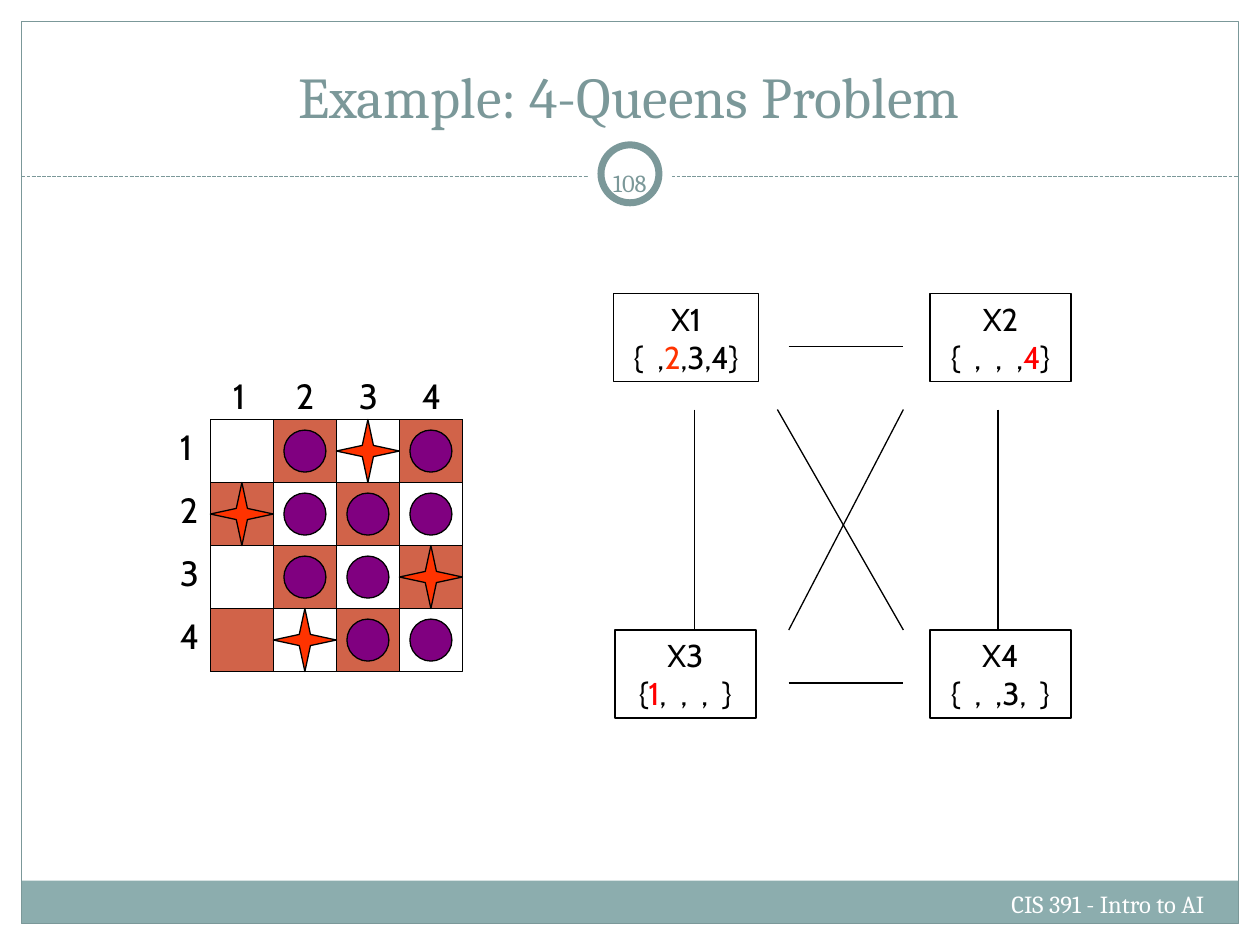
from lxml import etree
from pptx import Presentation
from pptx.dml.color import RGBColor
from pptx.enum.dml import MSO_LINE
from pptx.enum.shapes import MSO_CONNECTOR, MSO_SHAPE
from pptx.enum.text import MSO_ANCHOR, PP_ALIGN
from pptx.oxml.ns import qn
from pptx.util import Inches, Pt

RECT, OVAL, STAR = MSO_SHAPE.RECTANGLE, MSO_SHAPE.OVAL, MSO_SHAPE.STAR_4_POINT
STRAIGHT, DASH = MSO_CONNECTOR.STRAIGHT, MSO_LINE.SQUARE_DOT
LEFT, CENTER, RIGHT = PP_ALIGN.LEFT, PP_ALIGN.CENTER, PP_ALIGN.RIGHT
TOP, MIDDLE, BOTTOM = MSO_ANCHOR.TOP, MSO_ANCHOR.MIDDLE, MSO_ANCHOR.BOTTOM

COLORS = {
    "theme": "7B9899", "band": "8CADAE", "white": "FFFFFF", "black": "000000",
    "square": "D16349", "queen": "FF3300", "removed": "800080", "red": "FF0000",
}
HEADING, BODY = "Cambria", "Cabin"

# Q: queen, x: square ruled out, -: open square
BOARD = ["-xQx", "Qxxx", "-xxQ", "-Qxx"]

# Left, top, width, name and domain runs of each variable
VARIABLES = [
    (0, 0, 1.15, "X1", [("{  ,", "black"), ("2", "queen"), (",3,4}", "black")]),
    (2.51, 0, 1.12, "X2", [("{  ,  ,  ,", "black"), ("4", "red"), ("}", "black")]),
    (0.01, 2.67, 1.12, "X3", [("{", "black"), ("1", "red"), (",  ,  ,  }", "black")]),
    (2.51, 2.67, 1.12, "X4", [("{  ,  ,3,  }", "black")]),
]
# Start and end of each constraint between two variables
CONSTRAINTS = [
    (1.39, 0.42, 2.3, 0.42), (1.39, 3.09, 2.3, 3.09),
    (0.64, 0.92, 0.64, 2.67), (3.05, 0.92, 3.05, 2.67),
    (1.3, 0.92, 2.3, 2.67), (2.3, 0.92, 1.39, 2.67),
]


def rgb(name):
    return RGBColor.from_string(COLORS[name])


def add_figure(slide, kind, left, top, width, height, fill=None, line=None, weight=0.75):
    figure = slide.shapes.add_shape(
        kind, Inches(left), Inches(top), Inches(width), Inches(height))
    figure.shadow.inherit = False
    for part, color in ((figure.fill, fill), (figure.line.fill, line)):
        if color:
            part.solid()
            part.fore_color.rgb = rgb(color)
        else:
            part.background()
    if line:
        figure.line.width = Pt(weight)
    return figure


def add_line(slide, x1, y1, x2, y2, color="black", dash=None):
    line = slide.shapes.add_connector(
        STRAIGHT, Inches(x1), Inches(y1), Inches(x2), Inches(y2))
    line.line.color.rgb = rgb(color)
    line.line.width = Pt(0.75)
    if dash:
        line.line.dash_style = dash
    etree.SubElement(line._element.spPr, qn("a:effectLst"))


def write(box, lines, size, font, align=CENTER, anchor=TOP, wrap=False, inset=0.1):
    """Fill a box with lines, each a list of (text, color) runs."""
    frame = box.text_frame
    settings = {
        "word_wrap": wrap, "vertical_anchor": anchor,
        "margin_left": Inches(inset), "margin_right": Inches(inset),
        "margin_top": Inches(0.05), "margin_bottom": Inches(0.05),
    }
    for name, value in settings.items():
        setattr(frame, name, value)
    for index, runs in enumerate(lines):
        para = frame.paragraphs[0] if index == 0 else frame.add_paragraph()
        para.alignment = align
        for text, color in runs:
            span = para.add_run()
            span.text = text
            for name, value in {"size": Pt(size), "name": font}.items():
                setattr(span.font, name, value)
            span.font.color.rgb = rgb(color)


def add_text(slide, left, top, width, height, text, color, size, font, **layout):
    box = slide.shapes.add_textbox(
        Inches(left), Inches(top), Inches(width), Inches(height))
    write(box, [[(text, color)]], size, font, **layout)


def add_page_frame(slide, left, top, width, height):
    # Footer band and outer border
    add_figure(slide, RECT, left, top + height - 0.34, width, 0.34, fill="band")
    add_figure(slide, RECT, left, top, width, height, line="theme")
    add_text(slide, left + width - 3.5, top + height - 0.32, 3.33, 0.4,
             "CIS 391 - Intro to AI", "white", 14, HEADING, align=RIGHT, wrap=True)
    # Dashed rule, interrupted by the page number ring
    rule, middle = top + 1.23, left + width / 2
    add_line(slide, left, rule, left + width, rule, "theme", DASH)
    for size, line in ((0.67, None), (0.46, "theme")):
        add_figure(slide, OVAL, middle - size / 2, rule - 0.02 - size / 2, size, size,
                   fill="white", line=line, weight=4)
    add_text(slide, middle - 0.25, rule - 0.19, 0.5, 0.48, "108", "theme", 14, HEADING,
             anchor=MIDDLE, wrap=True, inset=0.05)
    # Title
    add_text(slide, left + 0.16, top + 0.08, width - 0.33, 0.83,
             "Example: 4-Queens Problem", "theme", 33, HEADING, anchor=BOTTOM, wrap=True)


def add_board(slide, left, top, side):
    cell = side / len(BOARD)
    dot = cell * 2 / 3
    gap = (cell - dot) / 2
    add_figure(slide, RECT, left, top, side, side, line="black")
    # Row and column numbers
    for index in range(len(BOARD)):
        offset = index * cell
        for x, y in ((left - 0.34, top + offset), (left + 0.08 + offset, top - 0.41)):
            add_text(slide, x, y, 0.36, 0.44, str(index + 1), "black", 20, BODY, align=LEFT)
    # Squares and their marks
    for row, marks in enumerate(BOARD):
        for column, mark in enumerate(marks):
            x, y = left + column * cell, top + row * cell
            if (row + column) % 2:
                add_figure(slide, RECT, x, y, cell, cell, "square", "black")
            if mark == "Q":
                queen = add_figure(slide, STAR, x, y, cell, cell, "queen", "black")
                queen.adjustments[0] = 0.125
            elif mark == "x":
                add_figure(slide, OVAL, x + gap, y + gap, dot, dot, "removed", "black")


def add_constraint_graph(slide, left, top):
    for x, y, width, name, domain in VARIABLES:
        box = add_figure(slide, RECT, left + x, top + y, width, 0.7, line="black")
        write(box, [[(name, "black")], domain], 18, BODY)
    for x1, y1, x2, y2 in CONSTRAINTS:
        add_line(slide, left + x1, top + y1, left + x2, top + y2)


def main():
    deck = Presentation()
    deck.slide_width, deck.slide_height = Inches(10), Inches(7.5)
    slide = deck.slides.add_slide(deck.slide_layouts[6])
    add_page_frame(slide, 0.17, 0.17, 9.66, 7.16)
    add_board(slide, 1.67, 3.33, 2)
    add_constraint_graph(slide, 4.87, 2.33)
    deck.save("out.pptx")


if __name__ == "__main__":
    main()
